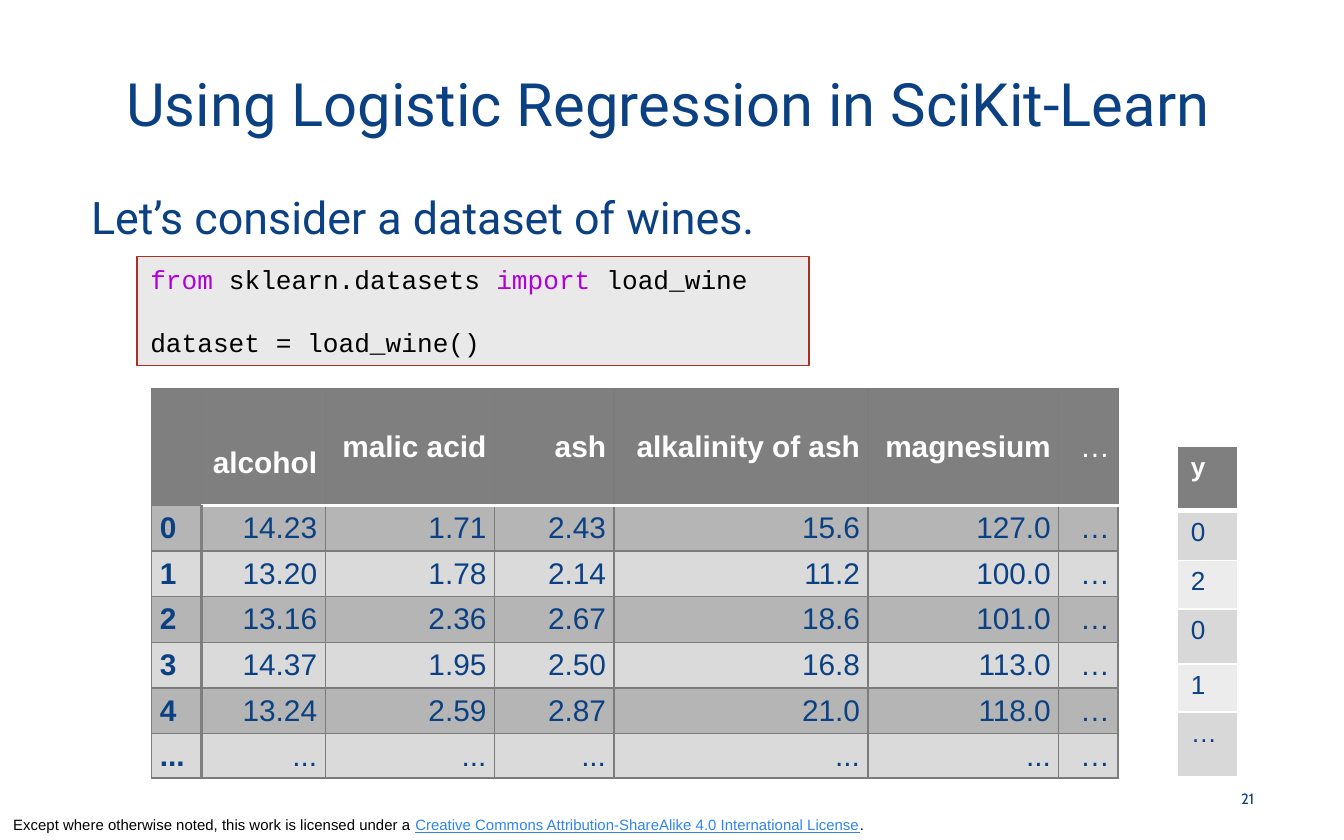
import copy
from dataclasses import dataclass
from typing import Optional

import lxml.etree
import pptx
import pptx.dml.color
import pptx.enum.shapes
import pptx.enum.text
import pptx.oxml.ns
import pptx.util

Inches = pptx.util.Inches
Pt = pptx.util.Pt
RGBColor = pptx.dml.color.RGBColor
Align = pptx.enum.text.PP_ALIGN
Anchor = pptx.enum.text.MSO_ANCHOR
qn = pptx.oxml.ns.qn

NAVY = RGBColor(0x0B, 0x41, 0x83)
WHITE = RGBColor(0xFF, 0xFF, 0xFF)
BLACK = RGBColor(0x00, 0x00, 0x00)
LINK_BLUE = RGBColor(0x30, 0x85, 0xED)
KEYWORD = RGBColor(0xAF, 0x00, 0xDB)
CODE_FILL = RGBColor(0xE9, 0xE9, 0xE9)
CODE_LINE = RGBColor(0xA9, 0x30, 0x23)
HEADER_FILL = RGBColor(0x7F, 0x7F, 0x7F)
GRID = RGBColor(0x7C, 0x7C, 0x7C)
WINE_BANDS = (RGBColor(0xB5, 0xB5, 0xB5), RGBColor(0xDA, 0xDA, 0xDA))
TARGET_BANDS = (RGBColor(0xD8, 0xD8, 0xD8), RGBColor(0xEC, 0xEC, 0xEC))

WINE_ROWS = [
    ["", "\nalcohol", "malic acid", "ash", "alkalinity of ash", "magnesium", "…"],
    ["0", "14.23", "1.71", "2.43", "15.6", "127.0", "…"],
    ["1", "13.20", "1.78", "2.14", "11.2", "100.0", "…"],
    ["2", "13.16", "2.36", "2.67", "18.6", "101.0", "…"],
    ["3", "14.37", "1.95", "2.50", "16.8", "113.0", "…"],
    ["4", "13.24", "2.59", "2.87", "21.0", "118.0", "…"],
    ["...", "...", "...", "...", "...", "...", "…"],
]
TARGET_ROWS = [["y"], ["0"], ["2"], ["0"], ["1"], ["…"]]


@dataclass(frozen=True)
class Style:
    size: float
    font: str
    color: RGBColor
    bold: bool = False
    underline: bool = False


@dataclass(frozen=True)
class Box:
    left: float
    top: float
    width: float
    height: float

    def lengths(self) -> list:
        return [Inches(value) for value in (self.left, self.top, self.width, self.height)]


@dataclass(frozen=True)
class Label:
    box: Box
    runs: tuple
    align: Align = Align.LEFT
    anchor: Anchor = Anchor.MIDDLE
    indent: float = 0
    line_spacing: Optional[float] = None
    space_before: float = 0


@dataclass(frozen=True)
class Border:
    color: RGBColor
    width: float


FOOTER = Style(8, "Arial", BLACK)
FOOTER_LINK = Style(8, "Arial", LINK_BLUE, underline=True)
CODE = Style(14, "Courier New", BLACK)
CODE_KEYWORD = Style(14, "Courier New", KEYWORD)

LABELS = [
    Label(Box(0, 6.02, 7.5, 0.23), (
        ("Except where otherwise noted, this work is licensed under a ", FOOTER),
        ("Creative Commons Attribution-ShareAlike 4.0 International License", FOOTER_LINK),
        (".", FOOTER),
    ), anchor=Anchor.BOTTOM),
    Label(Box(0.51, 0.17, 8.93, 1.19),
          (("Using Logistic Regression in SciKit-Learn", Style(32, "Roboto", NAVY)),),
          align=Align.CENTER),
    Label(Box(0.51, 1.37, 8.92, 0.54),
          (("Let’s consider a dataset of wines.", Style(24, "Roboto", NAVY)),),
          indent=0.07, line_spacing=0.9, space_before=4.8),
    Label(Box(8.98, 5.78, 0.45, 0.33), (("21", Style(8, "Cabin", NAVY)),), align=Align.RIGHT),
]
CODE_LINES = [
    [("from ", CODE_KEYWORD), ("sklearn.datasets ", CODE),
     ("import ", CODE_KEYWORD), ("load_wine", CODE)],
    [("\ndataset = load_wine()", CODE)],
]


def add_run(paragraph, text: str, style: Style) -> None:
    starts_with_break = text.startswith("\n")
    if starts_with_break:
        paragraph.add_line_break()
    run = paragraph.add_run()
    run.text = text.lstrip("\n")
    run.font.size = Pt(style.size)
    run.font.name = style.font
    run.font.color.rgb = style.color
    run.font.bold = style.bold
    run.font.underline = style.underline
    if starts_with_break:
        line_break = run._r.getprevious()
        line_break.append(copy.deepcopy(run._r.find(qn("a:rPr"))))


def add_label(slide, label: Label) -> None:
    frame = slide.shapes.add_textbox(*label.box.lengths()).text_frame
    frame.word_wrap = True
    frame.vertical_anchor = label.anchor
    paragraph = frame.paragraphs[0]
    paragraph.alignment = label.align
    paragraph.line_spacing = label.line_spacing
    paragraph.space_before = Pt(label.space_before)
    paragraph._p.get_or_add_pPr().set("marL", str(Inches(label.indent)))
    for text, style in label.runs:
        add_run(paragraph, text, style)


def add_code(slide, box: Box) -> None:
    shape = slide.shapes.add_shape(pptx.enum.shapes.MSO_SHAPE.RECTANGLE, *box.lengths())
    shape.shadow.inherit = False
    shape.fill.solid()
    shape.fill.fore_color.rgb = CODE_FILL
    shape.line.color.rgb = CODE_LINE
    shape.line.width = Pt(0.75)
    frame = shape.text_frame
    frame.word_wrap = True
    frame.vertical_anchor = Anchor.TOP
    for index, runs in enumerate(CODE_LINES):
        paragraph = frame.add_paragraph() if index else frame.paragraphs[0]
        paragraph.alignment = Align.LEFT
        for text, style in runs:
            add_run(paragraph, text, style)


def set_borders(cell, borders: dict[str, Border]) -> None:
    properties = cell._tc.get_or_add_tcPr()
    for side in "LRTB":
        border = borders[side]
        line = lxml.etree.SubElement(properties, qn(f"a:ln{side}"), w=str(Pt(border.width)))
        fill = lxml.etree.SubElement(line, qn("a:solidFill"))
        lxml.etree.SubElement(fill, qn("a:srgbClr"), val=str(border.color))


def add_grid(slide, left: float, top: float, widths: list[float], heights: list[float]):
    box = Box(left, top, sum(widths), sum(heights))
    table = slide.shapes.add_table(len(heights), len(widths), *box.lengths()).table
    table.first_row = False
    table.horz_banding = False
    for column, width in zip(table.columns, widths):
        column.width = Inches(width)
    for row, height in zip(table.rows, heights):
        row.height = Inches(height)
    return table


def fill_cell(cell, text: str, style: Style, fill: RGBColor, borders: dict[str, Border],
              align: Align = Align.LEFT) -> None:
    set_borders(cell, borders)
    cell.fill.solid()
    cell.fill.fore_color.rgb = fill
    paragraph = cell.text_frame.paragraphs[0]
    paragraph.alignment = align
    if text:
        add_run(paragraph, text, style)


def add_wine_table(slide) -> None:
    table = add_grid(slide, 1.13, 2.89, [0.37, 0.92, 1.26, 0.89, 1.89, 1.42, 0.44],
                     [0.87] + [0.34] * 5 + [0.33])
    header_rule = Border(WHITE, 2)
    label_rule = Border(HEADER_FILL, 2)
    for row, values in enumerate(WINE_ROWS):
        for column, text in enumerate(values):
            cell = table.cell(row, column)
            borders = dict.fromkeys("LRTB", Border(GRID, 0.75))
            if column and row < 2:
                borders["T" if row else "B"] = header_rule
            if row and column < 2:
                borders["L" if column else "R"] = label_rule
            bold = column == 0 or (row == 0 and text != "…")
            style = Style(16, "Arial", NAVY if row else WHITE, bold)
            fill = WINE_BANDS[(row - 1) % 2] if row else HEADER_FILL
            fill_cell(cell, text, style, fill, borders, Align.RIGHT if column else Align.LEFT)
            cell.vertical_anchor = Anchor.MIDDLE
            cell.margin_left = cell.margin_right = Inches(0.06)
            cell.margin_top = cell.margin_bottom = Inches(0.03)


def add_target_table(slide) -> None:
    table = add_grid(slide, 8.76, 3.32, [0.45], [0.48, 0.37, 0.36, 0.41, 0.36, 0.48])
    for row, (text,) in enumerate(TARGET_ROWS):
        borders = dict.fromkeys("LRTB", Border(WHITE, 1))
        if row < 2:
            borders["T" if row else "B"] = Border(WHITE, 3)
        style = Style(14, "Arial", NAVY if row else WHITE, row == 0)
        fill = TARGET_BANDS[(row - 1) % 2] if row else HEADER_FILL
        fill_cell(table.cell(row, 0), text, style, fill, borders)


def main() -> None:
    presentation = pptx.Presentation()
    presentation.slide_width = Inches(10)
    presentation.slide_height = Inches(6.25)
    slide = presentation.slides.add_slide(presentation.slide_layouts[6])
    for label in LABELS:
        add_label(slide, label)
    add_wine_table(slide)
    add_code(slide, Box(1.02, 1.91, 5, 0.81))
    add_target_table(slide)
    presentation.save("out.pptx")


if __name__ == "__main__":
    main()
